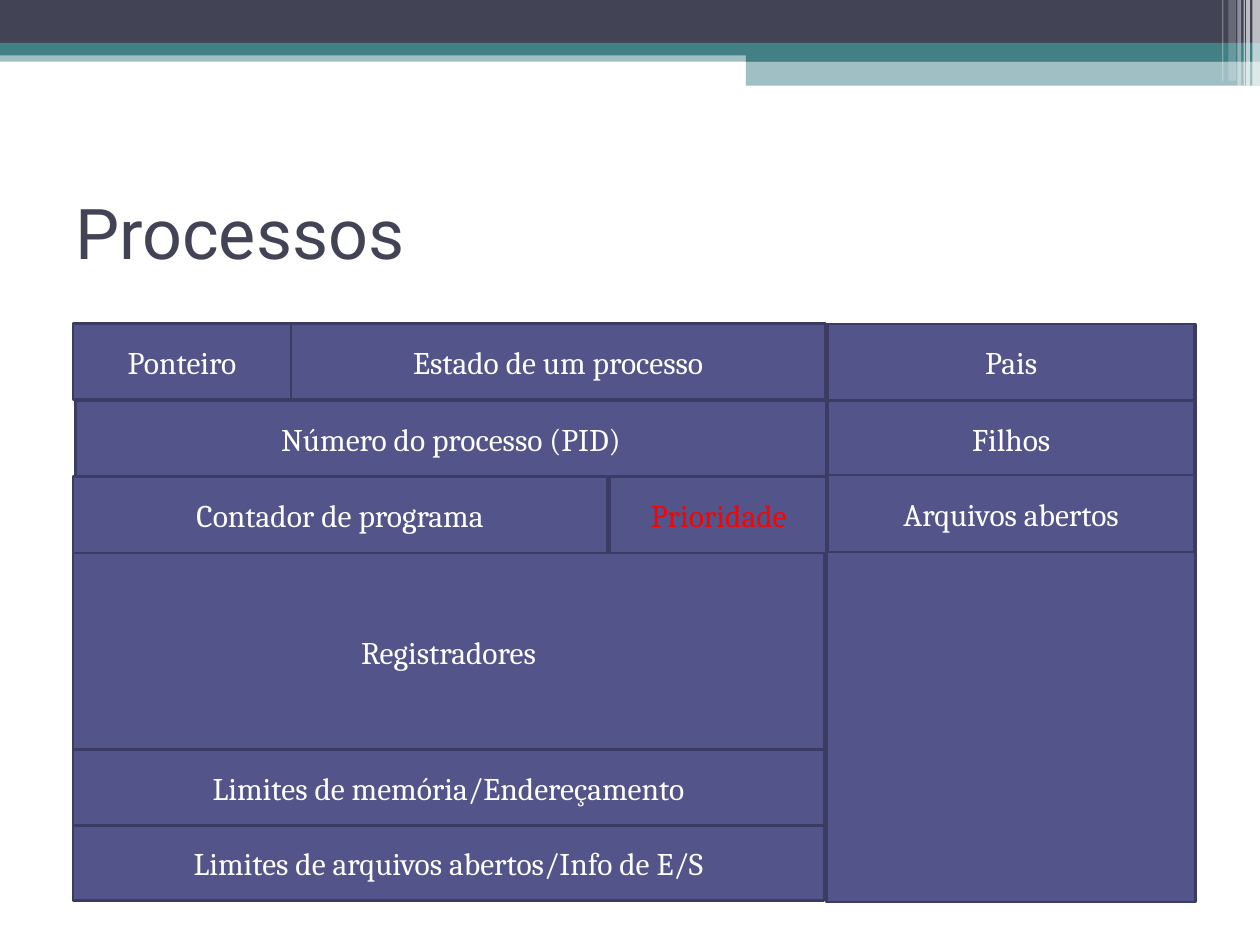
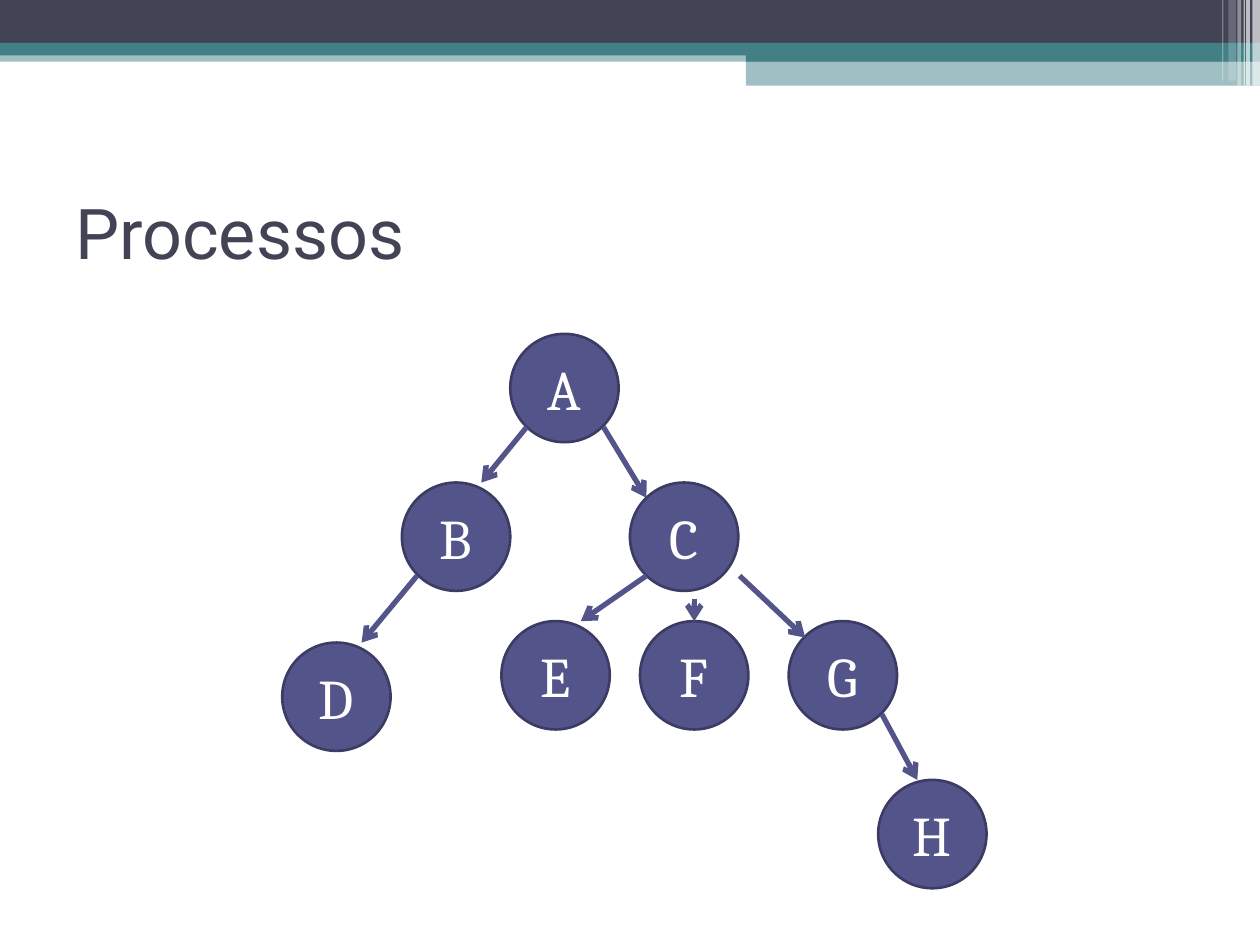
import dataclasses

import pptx
import pptx.dml.color
import pptx.enum.shapes
import pptx.enum.text
import pptx.oxml
import pptx.oxml.ns
import pptx.shapes.autoshape
import pptx.slide
import pptx.util

Inches = pptx.util.Inches
Pt = pptx.util.Pt
Kind = pptx.enum.shapes.MSO_SHAPE
Align = pptx.enum.text.PP_ALIGN

HUES = {
    "dark": "424456",
    "teal": "438086",
    "white": "FFFFFF",
    "fill": "53548A",
    "edge": "3B3B64",
    "red": "FF0000",
}
HEAD = "Roboto"
BODY = "Cambria"


@dataclasses.dataclass(frozen=True)
class Band:
    left: float
    top: float
    width: float
    height: float
    hue: str
    alpha: int = 100


@dataclasses.dataclass(frozen=True)
class Cell:
    left: float
    top: float
    width: float
    height: float
    text: str = ""
    hue: str = "white"


@dataclasses.dataclass(frozen=True)
class Node:
    name: str
    left: float
    top: float


@dataclasses.dataclass(frozen=True)
class Arrow:
    x1: float
    y1: float
    x2: float
    y2: float
    target: str = ""  # node whose top the arrow is joined to


BANDS = [
    Band(0, 0.4, 10, 0.09, "teal", 50),
    Band(0, 0, 10, 0.34, "dark"),
    Band(0, 0.34, 10, 0.1, "teal"),
    Band(5.92, 0.39, 4.08, 0.1, "teal"),
    Band(5.92, 0.48, 4.08, 0.2, "teal", 50),
    Band(9.94, 0, 0.06, 0.68, "white", 65),
    Band(9.89, 0, 0.03, 0.68, "white", 65),
    Band(9.87, 0, 0.01, 0.68, "white", 60),
    Band(9.82, 0, 0.03, 0.68, "white", 40),
    Band(9.75, 0, 0.06, 0.64, "white", 20),
    Band(9.7, 0, 0.01, 0.64, "white", 30),
]

LEFT, SIDE = 0.58, 6.57
THIN, MID, WIDE = 1.73, 4.24, 5.96
ROW = 0.6
TOPS = (2.57, 3.18, 3.78, 4.39, 5.95, 6.55)
CELLS = [
    Cell(LEFT, TOPS[0], THIN, ROW, "Ponteiro"),
    Cell(LEFT + THIN, TOPS[0], MID, ROW, "Estado de um processo"),
    Cell(0.6, TOPS[1], WIDE, ROW, "Número do processo (PID)"),
    Cell(LEFT, TOPS[2], MID, 0.61, "Contador de programa"),
    Cell(LEFT, TOPS[3], WIDE, 1.57, "Registradores"),
    Cell(LEFT, TOPS[4], WIDE, ROW, "Limites de memória/Endereçamento"),
    Cell(LEFT, TOPS[5], WIDE, ROW, "Limites de arquivos abertos/Info de E/S"),
    Cell(4.84, TOPS[2], THIN, 0.61, "Prioridade", "red"),
    Cell(6.56, TOPS[0], 2.93, 4.59),
] + [
    Cell(SIDE, top, 2.91, 0.61, text)
    for top, text in zip((2.57, 3.18, 3.77), ("Pais", "Filhos", "Arquivos abertos"))
]

SIZE = 0.86
NODES = [
    Node("A", 4.05, 2.65),
    Node("B", 3.19, 3.83),
    Node("C", 5, 3.83),
    Node("G", 6.26, 4.93),
    Node("E", 3.98, 4.93),
    Node("F", 5.08, 4.93),
    Node("D", 2.24, 5.1),
    Node("H", 6.97, 6.19),
]
ARROWS = [
    Arrow(4.18, 3.39, 3.82, 3.83),
    Arrow(4.79, 3.39, 5.13, 3.95),
    Arrow(3.31, 4.57, 2.87, 5.1),
    Arrow(5.13, 4.57, 4.61, 4.93),
    Arrow(5.51, 4.75, 5.51, 4.93, "F"),
    Arrow(5.87, 4.57, 6.39, 5.06),
    Arrow(7, 5.67, 7.28, 6.19),
]


def rgb(hue: str) -> pptx.dml.color.RGBColor:
    return pptx.dml.color.RGBColor.from_string(HUES[hue])


def write(shape: pptx.shapes.autoshape.Shape, text: str, font: str, size: int,
          hue: str, align: Align) -> None:
    frame = shape.text_frame
    frame.word_wrap = True
    frame.vertical_anchor = pptx.enum.text.MSO_ANCHOR.MIDDLE
    para = frame.paragraphs[0]
    para.alignment = align
    run = para.add_run()
    run.text = text
    run.font.name = font
    run.font.size = Pt(size)
    run.font.color.rgb = rgb(hue)


def block(slide: pptx.slide.Slide, kind: Kind, left: float, top: float,
          width: float, height: float, hue: str) -> pptx.shapes.autoshape.Shape:
    """Add a flat shape with a plain fill and no outline."""
    shape = slide.shapes.add_shape(
        kind, Inches(left), Inches(top), Inches(width), Inches(height))
    shape.shadow.inherit = False
    shape.fill.solid()
    shape.fill.fore_color.rgb = rgb(hue)
    shape.line.fill.background()
    return shape


def label(slide: pptx.slide.Slide, kind: Kind, cell: Cell,
          size: int) -> pptx.shapes.autoshape.Shape:
    """Add an outlined shape with its centred text."""
    shape = block(slide, kind, cell.left, cell.top, cell.width, cell.height, "fill")
    shape.line.color.rgb = rgb("edge")
    shape.line.width = Pt(1.5)
    if cell.text:
        write(shape, cell.text, BODY, size, cell.hue, Align.CENTER)
    return shape


def band(slide: pptx.slide.Slide, item: Band) -> None:
    shape = block(slide, Kind.RECTANGLE, item.left, item.top,
                  item.width, item.height, item.hue)
    if item.alpha < 100:
        color = shape.fill._xPr.find(".//" + pptx.oxml.ns.qn("a:srgbClr"))
        color.append(pptx.oxml.parse_xml(
            f'<a:alpha {pptx.oxml.ns.nsdecls("a")} val="{item.alpha * 1000}"/>'))


def arrow(slide: pptx.slide.Slide, item: Arrow,
          discs: dict[str, pptx.shapes.autoshape.Shape]) -> None:
    line = slide.shapes.add_connector(
        pptx.enum.shapes.MSO_CONNECTOR.STRAIGHT,
        Inches(item.x1), Inches(item.y1), Inches(item.x2), Inches(item.y2))
    line.line.color.rgb = rgb("fill")
    line.line.width = Pt(3)
    space = pptx.oxml.ns.nsdecls("a")
    line.line._get_or_add_ln().append(
        pptx.oxml.parse_xml(f'<a:tailEnd {space} type="arrow"/>'))
    line._element.spPr.append(pptx.oxml.parse_xml(f"<a:effectLst {space}/>"))
    if item.target:
        line.end_connect(discs[item.target], 0)


def start(deck: pptx.presentation.Presentation, title: str) -> pptx.slide.Slide:
    """Add a slide with the shared bands and title."""
    slide = deck.slides.add_slide(deck.slide_layouts[6])
    for item in BANDS:
        band(slide, item)
    box = slide.shapes.add_textbox(Inches(0.5), Inches(1.25), Inches(9), Inches(1.17))
    write(box, title, HEAD, 40, "dark", Align.LEFT)
    return slide


def main() -> None:
    deck = pptx.Presentation()
    deck.slide_width = Inches(10)
    deck.slide_height = Inches(7.5)

    slide = start(deck, "Processos")
    for cell in CELLS:
        label(slide, Kind.RECTANGLE, cell, 18)

    slide = start(deck, "Processos")
    discs = {
        node.name: label(slide, Kind.OVAL,
                         Cell(node.left, node.top, SIZE, SIZE, node.name), 32)
        for node in NODES
    }
    for item in ARROWS:
        arrow(slide, item, discs)

    deck.save("out.pptx")


if __name__ == "__main__":
    main()
